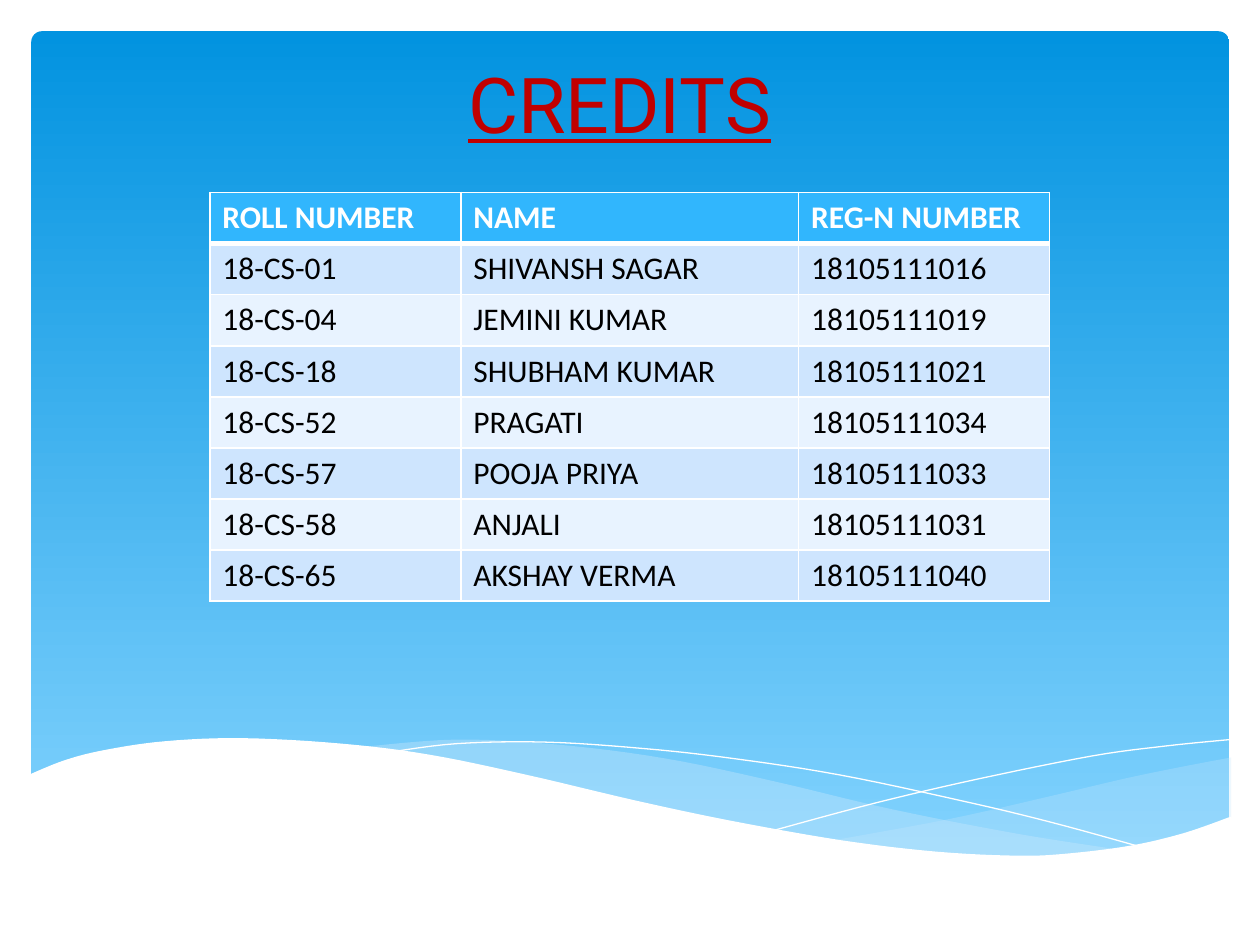
from dataclasses import dataclass
from typing import Optional

from lxml import etree
from pptx import Presentation
from pptx.dml.color import RGBColor
from pptx.enum.shapes import MSO_SHAPE
from pptx.enum.text import MSO_ANCHOR, PP_ALIGN
from pptx.oxml.ns import qn
from pptx.util import Cm, Pt

ROUNDED = MSO_SHAPE.ROUNDED_RECTANGLE
BOTTOM, MIDDLE_TOP = MSO_ANCHOR.BOTTOM, MSO_ANCHOR.TOP
CENTER = PP_ALIGN.CENTER

Points = list[tuple[float, float]]


@dataclass(frozen=True)
class Theme:
    sky_top: str = "0293E0"
    sky_bottom: str = "83D3FE"
    wave: str = "C6E7FC"
    white: str = "FFFFFF"
    title: str = "C00000"
    header: str = "31B6FD"
    bands: tuple[str, str] = ("CEE5FE", "E8F3FF")
    body: str = "000000"
    title_font: str = "Roboto"
    table_font: str = "Calibri"
    title_size: int = 44
    table_size: int = 18
    border: int = 1
    header_border: int = 3


@dataclass(frozen=True)
class Wave:
    """Smooth edges, in cm, joined end to end; without a fill it is an open hairline."""
    edges: list[Points]
    fill: Optional[str] = None
    alpha: int = 100


THEME = Theme()

WAVES = [
    Wave([[(24.82, 15.27), (23.77, 15.47), (22.66, 15.7), (21.18, 16.05), (19.15, 16.51),
           (16.81, 16.94)],
          [(16.81, 16.94), (18.26, 17.12), (19.86, 17.25), (21.23, 17.25), (22.61, 17.12),
           (23.8, 16.84), (24.82, 16.48)]], THEME.wave, 29),
    Wave([[(22.71, 17.15), (20.52, 16.81), (17.96, 16.31), (15.6, 15.75), (13.41, 15.29),
           (11.23, 15.01), (9.19, 14.91), (7.29, 15.06)],
          [(7.29, 15.06), (9.22, 15.34), (11.43, 15.85), (13.46, 16.31), (15.72, 16.76),
           (17.68, 17.07), (19.35, 17.25), (21.06, 17.27), (22.71, 17.15)]], THEME.wave, 40),
    Wave([[(7.87, 15.16), (9.22, 14.99), (11, 14.96), (12.98, 15.09), (14.78, 15.29),
           (16.92, 15.62), (19.33, 16.13), (21.13, 16.56), (23.06, 17.09)]]),
    Wave([[(15.6, 16.74), (17.68, 16.18), (19.74, 15.7), (22.02, 15.24), (23.5, 15.04),
           (24.79, 14.91)]]),
    Wave([[(24.82, 16.46), (23.88, 16.79), (22.83, 17.04), (21.59, 17.2), (20.55, 17.25),
           (18.9, 17.17), (16.97, 16.94), (14.71, 16.54), (12.78, 16.13), (10.62, 15.62),
           (8.64, 15.21), (6.88, 14.99), (4.9, 14.88), (3.35, 14.94), (2.16, 15.11),
           (1.32, 15.32), (0.58, 15.62)],
          [(0.58, 18.57), (24.82, 18.57)]], THEME.white),
]

HEADER = ("ROLL NUMBER", "NAME", "REG-N NUMBER")
STUDENTS = [
    ("18-CS-01", "SHIVANSH SAGAR", "18105111016"),
    ("18-CS-04", "JEMINI KUMAR", "18105111019"),
    ("18-CS-18", "SHUBHAM KUMAR", "18105111021"),
    ("18-CS-52", "PRAGATI", "18105111034"),
    ("18-CS-57", "POOJA PRIYA", "18105111033"),
    ("18-CS-58", "ANJALI", "18105111031"),
    ("18-CS-65", "AKSHAY VERMA", "18105111040"),
]
COLUMN_WIDTHS = (5.06, 6.81, 5.06)
ROW_HEIGHT = 1.03


def rgb(color: str) -> RGBColor:
    return RGBColor.from_string(color)


def smooth(knots: Points, steps: int = 6) -> Points:
    """Run a Catmull-Rom curve through the knots; two knots stay a straight line."""
    if len(knots) < 3:
        return knots
    padded = [knots[0], *knots, knots[-1]]
    curve = [knots[0]]
    for a, b, c, d in zip(padded, padded[1:], padded[2:], padded[3:]):
        for t in (i / steps for i in range(1, steps + 1)):
            x, y = (
                0.5 * (2 * q + (r - p) * t + (2 * p - 5 * q + 4 * r - s) * t**2
                       + (3 * q - p - 3 * r + s) * t**3)
                for p, q, r, s in zip(a, b, c, d))
            curve.append((x, y))
    return curve


def add_sky(slide) -> None:
    sp = slide.shapes.add_shape(ROUNDED, Cm(0.63), Cm(0.63), Cm(24.15), Cm(16.76))
    sp.adjustments[0] = 0.013
    sp.shadow.inherit = False
    sp.line.fill.background()
    sp.fill.gradient()
    sp.fill.gradient_angle = 270
    for stop, color in zip(sp.fill.gradient_stops, (THEME.sky_top, THEME.sky_bottom)):
        stop.color.rgb = rgb(color)


def add_wave(slide, wave: Wave) -> None:
    points = [(Cm(x), Cm(y)) for edge in wave.edges for x, y in smooth(edge)]
    builder = slide.shapes.build_freeform(*points[0])
    builder.add_line_segments(points[1:], close=wave.fill is not None)
    sp = builder.convert_to_shape()
    sp.shadow.inherit = False
    if wave.fill is None:
        sp.fill.background()
        sp.line.color.rgb = rgb(THEME.white)
        sp.line.width = Pt(0)
        return
    sp.line.fill.background()
    sp.fill.solid()
    sp.fill.fore_color.rgb = rgb(wave.fill)
    if wave.alpha < 100:
        color = sp.fill._xPr.find(f".//{qn('a:srgbClr')}")
        etree.SubElement(color, qn("a:alpha"), val=str(wave.alpha * 1000))


def add_run(p, text: str, font: str, size: int, color: str):
    r = p.add_run()
    r.text = text
    r.font.name = font
    r.font.size = Pt(size)
    r.font.color.rgb = rgb(color)
    return r


def add_title(slide, text: str) -> None:
    tf = slide.shapes.add_textbox(Cm(1.7), Cm(0.74), Cm(21.59), Cm(2.39)).text_frame
    tf.word_wrap = True
    tf.vertical_anchor = BOTTOM
    p = tf.paragraphs[0]
    p.alignment = CENTER
    r = add_run(p, text, THEME.title_font, THEME.title_size, THEME.title)
    r.font.underline = True


def set_borders(cell, top: int, bottom: int) -> None:
    tc_pr = cell._tc.get_or_add_tcPr()
    widths = {"lnL": THEME.border, "lnR": THEME.border, "lnT": top, "lnB": bottom}
    for i, (side, width) in enumerate(widths.items()):
        ln = etree.Element(qn(f"a:{side}"), w=str(Pt(width)))
        fill = etree.SubElement(ln, qn("a:solidFill"))
        etree.SubElement(fill, qn("a:srgbClr"), val=THEME.white)
        tc_pr.insert(i, ln)


def add_student_table(slide) -> None:
    rows = [HEADER, *STUDENTS]
    table = slide.shapes.add_table(
        len(rows), len(HEADER), Cm(4.23), Cm(3.88),
        Cm(sum(COLUMN_WIDTHS)), Cm(ROW_HEIGHT * len(rows))).table
    for column, width in zip(table.columns, COLUMN_WIDTHS):
        column.width = Cm(width)
    for i, values in enumerate(rows):
        table.rows[i].height = Cm(ROW_HEIGHT)
        is_header = i == 0
        for cell, value in zip(table.rows[i].cells, values):
            cell.vertical_anchor = MIDDLE_TOP
            cell.fill.solid()
            cell.fill.fore_color.rgb = rgb(
                THEME.header if is_header else THEME.bands[(i - 1) % 2])
            set_borders(cell,
                        top=THEME.header_border if i == 1 else THEME.border,
                        bottom=THEME.header_border if is_header else THEME.border)
            r = add_run(cell.text_frame.paragraphs[0], value, THEME.table_font,
                        THEME.table_size, THEME.white if is_header else THEME.body)
            r.font.bold = is_header


def main() -> None:
    prs = Presentation()
    prs.slide_width, prs.slide_height = Cm(25.4), Cm(19.05)
    s = prs.slides.add_slide(prs.slide_layouts[6])
    add_sky(s)
    for wave in WAVES:
        add_wave(s, wave)
    add_title(s, "CREDITS")
    add_student_table(s)
    prs.save("out.pptx")


if __name__ == "__main__":
    main()
